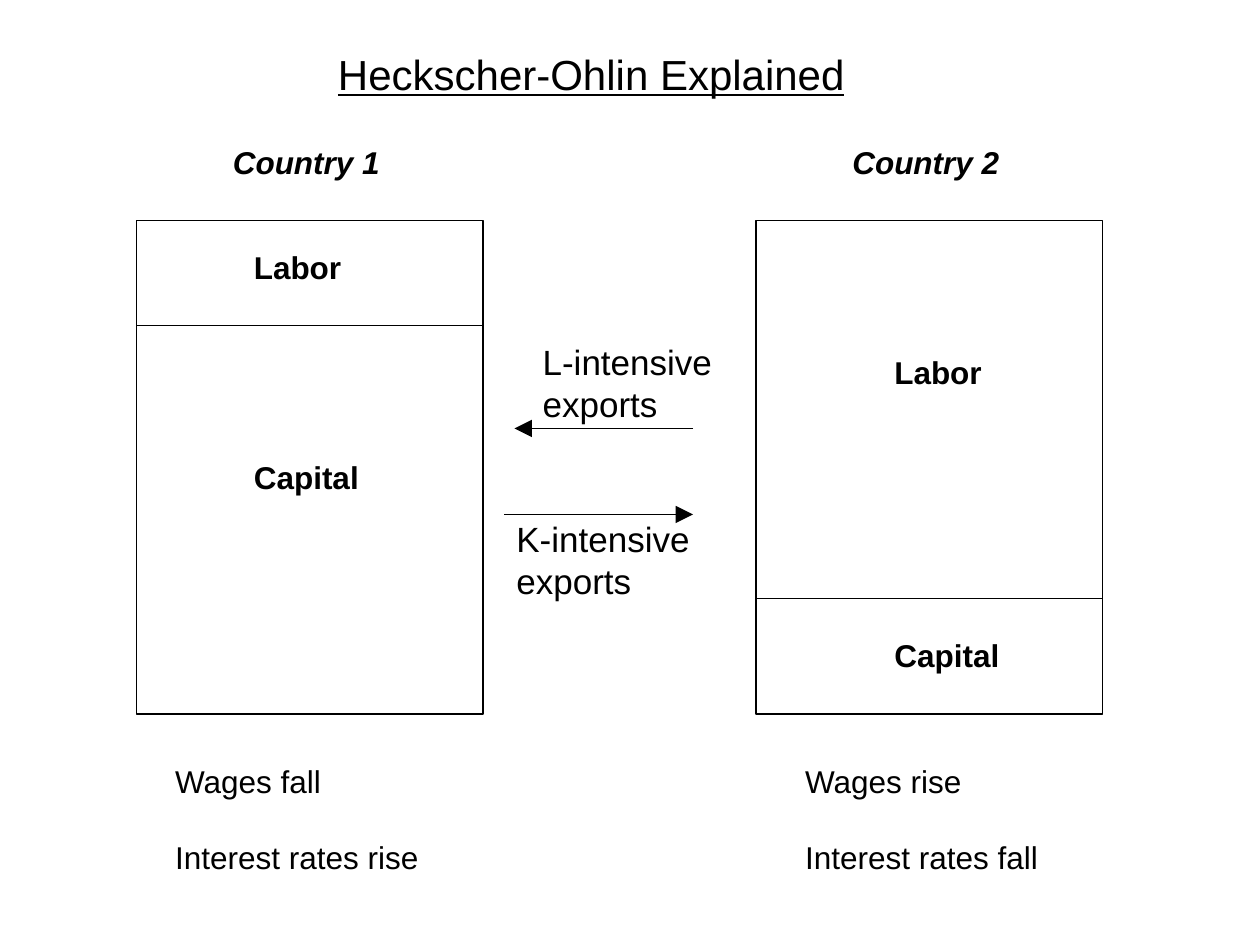
from dataclasses import dataclass

from lxml import etree
from pptx import Presentation
from pptx.dml.color import RGBColor
from pptx.enum.shapes import MSO_CONNECTOR, MSO_SHAPE
from pptx.enum.text import MSO_ANCHOR, MSO_AUTO_SIZE, PP_ALIGN
from pptx.oxml.ns import qn
from pptx.util import Emu, Inches, Pt

RECT = MSO_SHAPE.RECTANGLE
LINE = MSO_CONNECTOR.STRAIGHT
FIT = MSO_AUTO_SIZE.SHAPE_TO_FIT_TEXT
TOP = MSO_ANCHOR.TOP
LEFT = PP_ALIGN.LEFT

BLACK = RGBColor(0, 0, 0)
WHITE = RGBColor(255, 255, 255)
FONT = "Arial"
THIN = Pt(0.75)

# The slide is a grid of 120 columns by 90 rows, 12 to the inch.
COLS, ROWS = 120, 90
WIDTH, HEIGHT = Inches(10), Inches(7.5)
BOX_TOP, BOX_WIDE, BOX_HIGH = 21, 33, 47
HEAD_TOP = 13
LABEL_HIGH = 4.8


@dataclass(frozen=True)
class Country:
    name: str
    left: float
    split: float
    head: float
    label: float
    labor: float
    capital: float


@dataclass(frozen=True)
class Flow:
    start: float
    end: float
    row: float
    text: str
    left: float
    top: float


COUNTRIES = (
    Country("Country 1", left=13, split=31, head=21, label=23, labor=23, capital=43),
    Country("Country 2", left=72, split=57, head=80, label=84, labor=33, capital=60),
)
FLOWS = (
    Flow(48, 66, 49, "K-intensive\nexports", left=48, top=48.7),
    Flow(66, 49, 40.8, "L-intensive\nexports", left=50.5, top=31.8),
)
EFFECTS = "\tWages fall\tWages rise\n\tInterest rates rise\tInterest rates fall"


def col(n: float) -> Emu:
    return Emu(round(WIDTH * n / COLS))


def row(n: float) -> Emu:
    return Emu(round(HEIGHT * n / ROWS))


def add_text(slide, text: str, left: float, top: float, wide: float, high: float, *,
             size: float = 18, bold: bool = False, italic: bool = False,
             under: bool = False, gap: float = 0, tabs: tuple = ()) -> None:
    """Write one paragraph per line; gap is in points, tabs are in columns."""
    box = slide.shapes.add_textbox(col(left), row(top), col(wide), row(high))
    frame = box.text_frame
    frame.word_wrap = False
    frame.auto_size = FIT
    frame.vertical_anchor = TOP
    for n, line in enumerate(text.split("\n")):
        para = frame.add_paragraph() if n else frame.paragraphs[0]
        para.alignment = LEFT
        para.space_before = Pt(gap if n else 0)
        if tabs:
            stops = etree.SubElement(para._p.get_or_add_pPr(), qn("a:tabLst"))
            for stop in tabs:
                etree.SubElement(stops, qn("a:tab"), pos=str(col(stop)), algn="l")
        run = para.add_run()
        run.text = line
        font = run.font
        font.name, font.size, font.color.rgb = FONT, Pt(size), BLACK
        font.bold, font.italic, font.underline = bold, italic, under


def add_line(slide, start: float, end: float, level: float, arrow: bool = False) -> None:
    line = slide.shapes.add_connector(LINE, col(start), row(level), col(end), row(level))
    line.line.color.rgb = BLACK
    line.line.width = THIN
    if arrow:
        etree.SubElement(line.line._get_or_add_ln(), qn("a:tailEnd"),
                         type="triangle", w="lg", len="lg")
    etree.SubElement(line._element.spPr, qn("a:effectLst"))


def add_country(slide, land: Country) -> None:
    box = slide.shapes.add_shape(RECT, col(land.left), row(BOX_TOP),
                                 col(BOX_WIDE), row(BOX_HIGH))
    box.shadow.inherit = False
    box.fill.background()
    box.line.color.rgb = BLACK
    box.line.width = THIN
    add_line(slide, land.left, land.left + BOX_WIDE, land.split)
    add_text(slide, land.name, land.head, HEAD_TOP, 16.8, LABEL_HIGH,
             bold=True, italic=True)
    add_text(slide, "Labor", land.label, land.labor, 11, LABEL_HIGH, bold=True)
    add_text(slide, "Capital", land.label, land.capital, 12.7, LABEL_HIGH, bold=True)


def add_flow(slide, flow: Flow) -> None:
    add_line(slide, flow.start, flow.end, flow.row, arrow=True)
    add_text(slide, flow.text, flow.left, flow.top, 19.2, 9.2, size=20)


def main() -> None:
    deck = Presentation()
    deck.slide_width, deck.slide_height = WIDTH, HEIGHT
    slide = deck.slides.add_slide(deck.slide_layouts[6])
    slide.background.fill.solid()
    slide.background.fill.fore_color.rgb = WHITE

    add_text(slide, "Heckscher-Ohlin Explained", 31, 4, 51.2, 6, size=24, under=True)
    for land in COUNTRIES:
        add_country(slide, land)
    add_text(slide, EFFECTS, 3.5, 72, 96.6, 15.6, gap=22, tabs=(12, 72))
    for flow in FLOWS:
        add_flow(slide, flow)
    deck.save("out.pptx")


if __name__ == "__main__":
    main()
